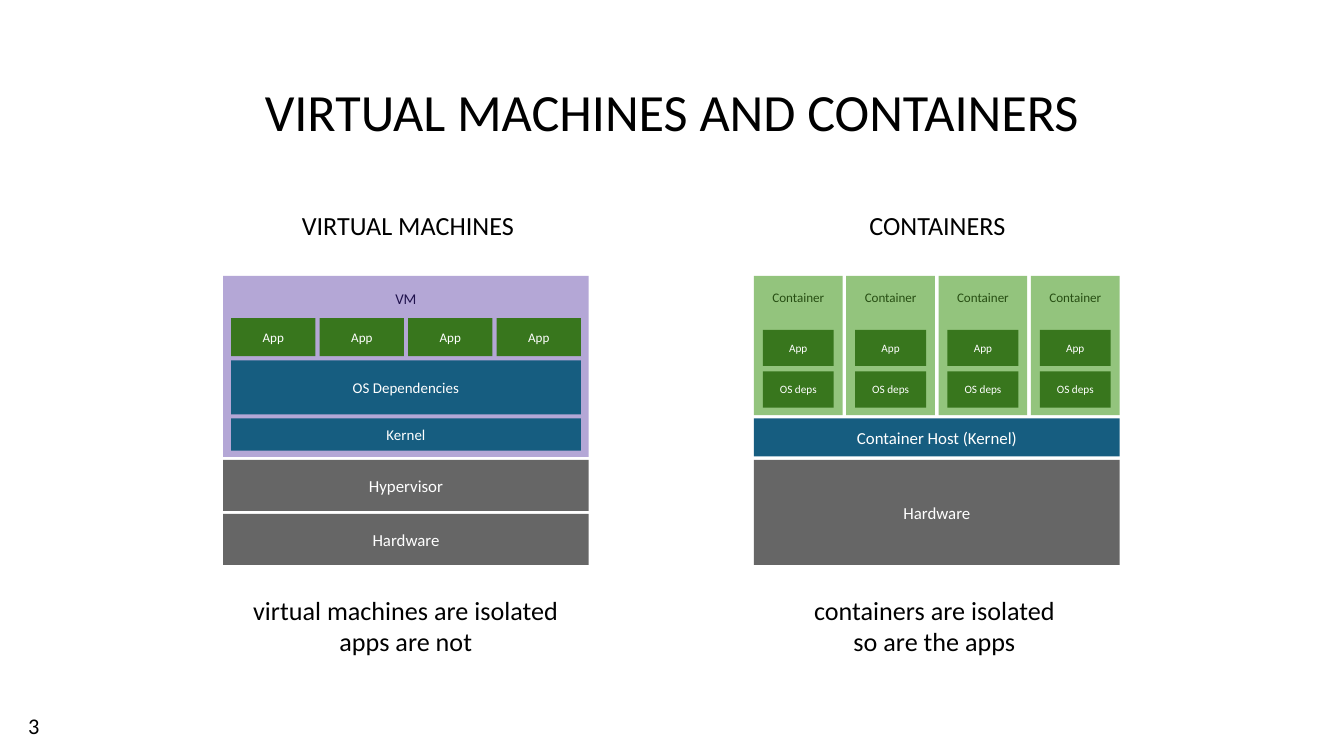
from dataclasses import dataclass

import pptx
import pptx.dml.color
import pptx.enum.shapes
import pptx.enum.text
import pptx.util

Pt = pptx.util.Pt
Align = pptx.enum.text.PP_ALIGN
Anchor = pptx.enum.text.MSO_ANCHOR

FONT = "Calibri"
BLACK, WHITE = "000000", "FFFFFF"
GREY, BLUE, GREEN = "666666", "165D80", "38761D"
PURPLE, DARK_PURPLE = "B4A7D6", "20124D"
LIGHT_GREEN, DARK_GREEN = "93C47D", "274E13"

STACK_W = 195.9
VM_X, CONTAINER_X = 119.5, 403.9
STACK_Y = 147.8


@dataclass
class Label:
    text: str
    x: float
    y: float
    w: float
    h: float
    size: float
    anchor: Anchor = Anchor.TOP
    align: Align = Align.CENTER


@dataclass
class Block:
    text: str
    x: float
    y: float
    w: float
    h: float
    fill: str
    size: float
    color: str = WHITE
    anchor: Anchor = Anchor.MIDDLE


def rgb(value: str) -> pptx.dml.color.RGBColor:
    return pptx.dml.color.RGBColor.from_string(value)


def write(tf, text: str, *, size: float, color: str = BLACK,
          align: Align = Align.CENTER, anchor: Anchor = Anchor.TOP) -> None:
    """Fill a text frame, one paragraph per line of text."""
    tf.word_wrap = True
    tf.vertical_anchor = anchor
    tf.margin_left = tf.margin_right = tf.margin_top = tf.margin_bottom = Pt(7.2)
    for i, line in enumerate(text.split("\n")):
        p = tf.add_paragraph() if i else tf.paragraphs[0]
        p.alignment = align
        r = p.add_run()
        r.text = line
        r.font.name = FONT
        r.font.size = Pt(size)
        r.font.color.rgb = rgb(color)


def draw_label(s, label: Label) -> None:
    sp = s.shapes.add_textbox(Pt(label.x), Pt(label.y), Pt(label.w), Pt(label.h))
    write(sp.text_frame, label.text, size=label.size,
          align=label.align, anchor=label.anchor)


def draw_stack(s, blocks: list[Block]) -> None:
    """Draw the blocks of one diagram as a group."""
    group = s.shapes.add_group_shape()
    for b in blocks:
        sp = group.shapes.add_shape(pptx.enum.shapes.MSO_SHAPE.RECTANGLE,
                                    Pt(b.x), Pt(b.y), Pt(b.w), Pt(b.h))
        sp.shadow.inherit = False
        sp.fill.solid()
        sp.fill.fore_color.rgb = rgb(b.fill)
        sp.line.fill.background()
        write(sp.text_frame, b.text, size=b.size, color=b.color, anchor=b.anchor)


def vm_blocks() -> list[Block]:
    inner_x, inner_w = VM_X + 4.3, 187.4
    app_w = 45.2
    pitch = (inner_w - app_w) / 3
    return [
        Block("VM", VM_X, STACK_Y, STACK_W, 97, PURPLE, 8, DARK_PURPLE, Anchor.TOP),
        Block("OS Dependencies", inner_x, 193, inner_w, 29, BLUE, 8),
        Block("Kernel", inner_x, 224.2, inner_w, 17.2, BLUE, 8),
        Block("Hypervisor", VM_X, 246.4, STACK_W, 27.3, GREY, 9),
        Block("Hardware", VM_X, 275.3, STACK_W, 27.3, GREY, 9),
        *(Block("App", inner_x + i * pitch, 170.5, app_w, 20.3, GREEN, 7)
          for i in range(4)),
    ]


def container_blocks() -> list[Block]:
    box_w, part_w = 47.5, 38
    pitch = (STACK_W - box_w) / 3
    blocks = [
        Block("Hardware", CONTAINER_X, 246.4, STACK_W, 56.2, GREY, 9),
        Block("Container Host (Kernel)", CONTAINER_X, 224.2, STACK_W, 20.4, BLUE, 9),
    ]
    for i in range(4):
        x = CONTAINER_X + i * pitch
        blocks.append(Block("Container", x, STACK_Y, box_w, 74.6,
                            LIGHT_GREEN, 7, DARK_GREEN, Anchor.TOP))
        for text, y in (("App", 176.7), ("OS deps", 199)):
            blocks.append(Block(text, x + (box_w - part_w) / 2, y, part_w, 19.4,
                                GREEN, 6))
    return blocks


def main() -> None:
    prs = pptx.Presentation()
    prs.slide_width, prs.slide_height = Pt(720), Pt(405)
    s = prs.slides.add_slide(prs.slide_layouts[6])

    # Title, column headings and captions
    for label in (
        Label("VIRTUAL MACHINES AND CONTAINERS", 64.8, 0, 590, 83.5, 28, Anchor.BOTTOM),
        Label("VIRTUAL MACHINES", 139.7, 105.1, 157.7, 27.4, 14),
        Label("CONTAINERS", 432, 105.1, 140.4, 27.4, 14),
        Label("virtual machines are isolated\napps are not", 107.3, 311, 220.3, 33.8, 14),
        Label("containers are isolated\nso are the apps", 390.5, 311, 220.3, 33.8, 14),
    ):
        draw_label(s, label)

    # Diagrams
    draw_stack(s, vm_blocks())
    draw_stack(s, container_blocks())

    # Slide number
    draw_label(s, Label("3", 8, 373, 33, 31, 12, Anchor.MIDDLE, Align.LEFT))

    prs.save("out.pptx")


if __name__ == "__main__":
    main()
